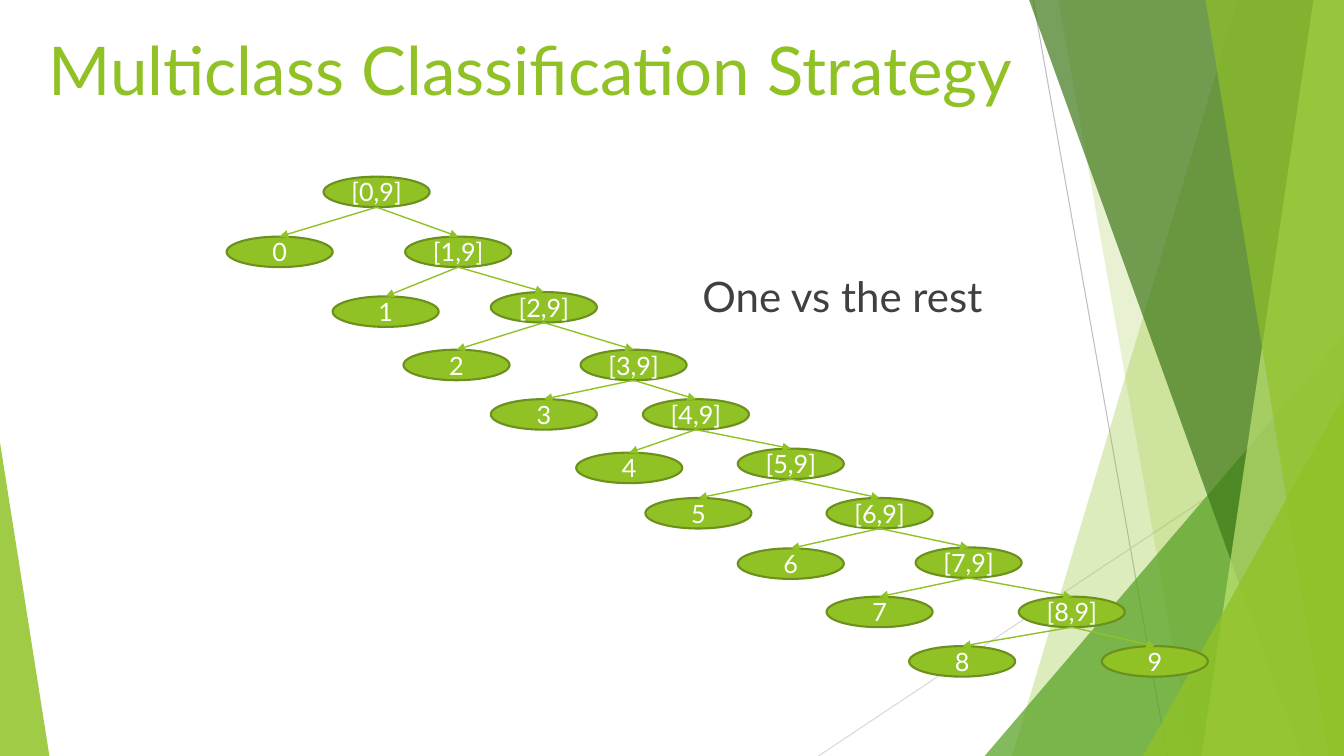
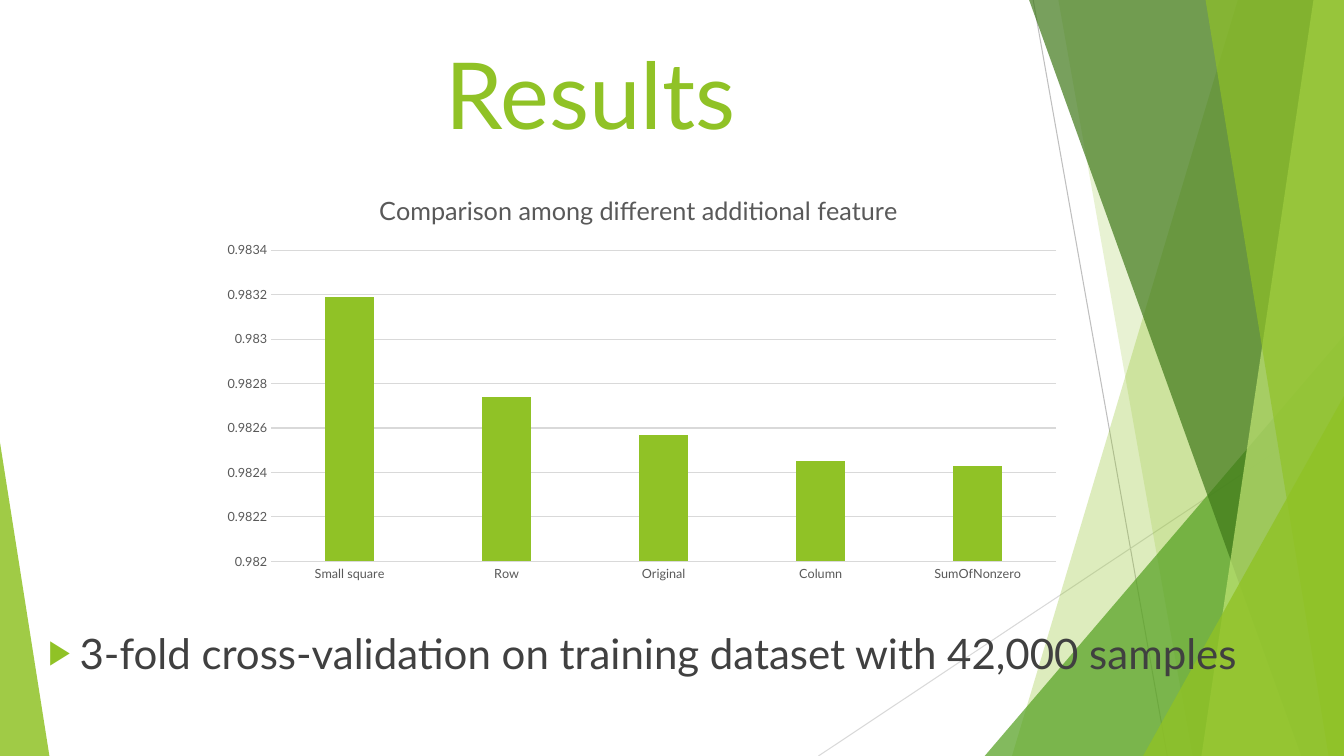
from lxml import etree
from pptx import Presentation
from pptx.chart.data import CategoryChartData
from pptx.dml.color import RGBColor
from pptx.enum import chart as charts, shapes, text
from pptx.oxml.ns import qn
from pptx.util import Pt

WIDTH, HEIGHT = 960, 540
FONT = "Lato"
GREEN, DARK_GREEN, BODY_GREY, LABEL_GREY, GRID = "90C226", "6B901C", "404040", "595959", "D9D9D9"

BACK_LINES = [("BFBFBF", (738, 0), (833.8, 540)), (GRID, (960, 290.2), (584.6, 540))]
BACK_PANELS = [
    ("band", GREEN, 30, 884.2, 722.9),
    ("band", GREEN, 20, 756, 851.8),
    ("triangle", "54A021", 72, 703.4, 239.8, 256.6, 1),
    ("band", "3F7819", 70, 735.1, 929.5),
    ("band", "C0E474", 70, 938.2, 858.2),
    ("band", GREEN, 65, 861.1, 949),
    ("triangle", GREEN, 80, 816.5, 283, 143.5, 1),
    ("triangle", GREEN, 85, 0, 316.1, 35.3, 0),
]

STRATEGY = {"title": "Multiclass Classification Strategy", "body": "One vs the rest"}
RESULTS = {
    "title": "Results",
    "body": "3-fold cross-validation on training dataset with 42,000 samples",
    "chart": "Comparison among different additional feature",
}
ACCURACY = [
    ("Small square", 0.98319),
    ("Row", 0.98274),
    ("Original", 0.98257),
    ("Column", 0.98245),
    ("SumOfNonzero", 0.98243),
]
NODE_WIDTH, NODE_HEIGHT = 75.8, 21.8
RANGE_NODES = [
    (231.1, 126.2), (289.4, 169), (350.6, 208.6), (414.7, 249.8), (459.2, 285.1),
    (527, 320.4), (590.4, 355.7), (654, 391), (727.7, 426.2),
]
DIGIT_NODES = [
    (161.9, 169), (237.6, 211.7), (288.2, 249.8), (350.6, 285.1), (411.6, 323.3),
    (461, 355.7), (527, 391.7), (590.4, 426.2), (649.4, 461.5), (787, 461.5),
]


def rgb(value):
    return RGBColor.from_string(value)


def set_font(font, size, color):
    font.name, font.size = FONT, Pt(size)
    font.color.rgb = rgb(color)


def add_run(paragraph, content, size, color):
    run = paragraph.add_run()
    run.text = content
    set_font(run.font, size, color)


def paint(shape, color, alpha=100):
    shape.shadow.inherit = False
    shape.fill.solid()
    shape.fill.fore_color.rgb = rgb(color)
    if alpha < 100:
        node = shape.element.find(".//" + qn("a:srgbClr"))
        etree.SubElement(node, qn("a:alpha"), val=str(alpha * 1000))
    shape.line.fill.background()


def add_line(slide, start, end, color, width, arrow=False):
    connector = slide.shapes.add_connector(
        shapes.MSO_CONNECTOR.STRAIGHT, *[Pt(value) for value in (*start, *end)])
    connector.line.color.rgb = rgb(color)
    connector.line.width = Pt(width)
    if arrow:
        line = connector.element.spPr.find(qn("a:ln"))
        etree.SubElement(line, qn("a:tailEnd"), type="triangle")
    etree.SubElement(connector.element.spPr, qn("a:effectLst"))
    return connector


def add_panel(slide, kind, color, alpha, *place):
    if kind == "band":
        top_x, bottom_x = place
        builder = slide.shapes.build_freeform(Pt(top_x), 0)
        corners = [(WIDTH, 0), (WIDTH, HEIGHT), (bottom_x, HEIGHT)]
        builder.add_line_segments([(Pt(x), Pt(y)) for x, y in corners], close=True)
        shape = builder.convert_to_shape()
    else:
        left, top, width, apex = place
        shape = slide.shapes.add_shape(
            shapes.MSO_SHAPE.ISOSCELES_TRIANGLE, Pt(left), Pt(top), Pt(width), Pt(HEIGHT - top))
        shape.adjustments[0] = apex
    paint(shape, color, alpha)
    return shape


def build_backdrop(master, slide):
    parts = [add_line(slide, start, end, color, 0.75) for color, start, end in BACK_LINES]
    parts += [add_panel(slide, *panel) for panel in BACK_PANELS]
    for index, part in enumerate(parts):
        part.element.find(".//" + qn("p:cNvPr")).set("id", str(100 + index))
        master.shapes.element.insert(2 + index, part.element)


def fill_placeholder(shape, box, content, size, color):
    shape.left, shape.top, shape.width, shape.height = [Pt(value) for value in box]
    frame = shape.text_frame
    frame.word_wrap = False
    frame.auto_size = text.MSO_AUTO_SIZE.SHAPE_TO_FIT_TEXT
    frame.vertical_anchor = text.MSO_ANCHOR.TOP
    paragraph = frame.paragraphs[0]
    paragraph.alignment = text.PP_ALIGN.LEFT
    paragraph.space_before = Pt(0)
    add_run(paragraph, content, size, color)
    return paragraph


def set_bullet(paragraph, margin=0, hanging=0, symbol=None):
    properties = paragraph._p.get_or_add_pPr()
    properties.set("marL", str(Pt(margin)))
    properties.set("indent", str(-Pt(hanging)))
    if symbol is None:
        etree.SubElement(properties, qn("a:buNone"))
        return
    color = etree.SubElement(properties, qn("a:buClr"))
    etree.SubElement(color, qn("a:srgbClr"), val=GREEN)
    etree.SubElement(properties, qn("a:buSzPct"), val="80000")
    etree.SubElement(properties, qn("a:buChar"), char=symbol)


def add_node(slide, label, place):
    left, top = place
    shape = slide.shapes.add_shape(
        shapes.MSO_SHAPE.OVAL, Pt(left), Pt(top), Pt(NODE_WIDTH), Pt(NODE_HEIGHT))
    paint(shape, GREEN)
    shape.line.color.rgb = rgb(DARK_GREEN)
    shape.line.width = Pt(1.5)
    frame = shape.text_frame
    frame.margin_left = frame.margin_right = frame.margin_top = frame.margin_bottom = 0
    frame.vertical_anchor = text.MSO_ANCHOR.MIDDLE
    frame.paragraphs[0].alignment = text.PP_ALIGN.CENTER
    add_run(frame.paragraphs[0], label, 18, "FFFFFF")
    return shape


def build_strategy(slide):
    fill_placeholder(slide.shapes.title, (27.4, 16.6, 724, 65), STRATEGY["title"], 48, GREEN)
    body = fill_placeholder(
        slide.placeholders[1], (494.6, 189.4, 220.3, 43.9), STRATEGY["body"], 30, BODY_GREY)
    set_bullet(body)

    ranges = [add_node(slide, f"[{i},9]", place) for i, place in enumerate(RANGE_NODES)]
    digits = [add_node(slide, str(i), place) for i, place in enumerate(DIGIT_NODES)]
    followers = ranges[1:] + digits[-1:]
    for place, digit, follower in zip(RANGE_NODES, digits, followers):
        start = (place[0] + NODE_WIDTH / 2, place[1] + NODE_HEIGHT)
        for child in (digit, follower):
            end = (child.left.pt + NODE_WIDTH / 2, child.top.pt)
            add_line(slide, start, end, GREEN, 1, arrow=True).end_connect(child, 0)


def set_layout(parent, index, **fractions):
    old = parent.find(qn("c:layout"))
    if old is not None:
        parent.remove(old)
    layout = etree.Element(qn("c:layout"))
    parent.insert(index, layout)
    manual = etree.SubElement(layout, qn("c:manualLayout"))
    if "w" in fractions:
        etree.SubElement(manual, qn("c:layoutTarget"), val="inner")
    for axis in "xy":
        etree.SubElement(manual, qn(f"c:{axis}Mode"), val="edge")
    for name, fraction in fractions.items():
        etree.SubElement(manual, qn(f"c:{name}"), val=str(fraction))


def build_chart(slide):
    data = CategoryChartData(number_format="General")
    data.categories = [name for name, _ in ACCURACY]
    data.add_series("Series 1", [value for _, value in ACCURACY])
    chart = slide.shapes.add_chart(
        charts.XL_CHART_TYPE.COLUMN_CLUSTERED, Pt(150.5), Pt(125.3), Pt(616.3), Pt(296.6), data).chart
    set_font(chart.font, 10, "000000")
    chart.has_legend = False
    chart.has_title = True
    add_run(chart.chart_title.text_frame.paragraphs[0], RESULTS["chart"], 18, LABEL_GREY)
    chart.chart_title.text_frame.paragraphs[0].runs[0].font.bold = False

    plot = chart.plots[0]
    plot.vary_by_categories = False
    plot.gap_width, plot.overlap = 219, -27
    plot.series[0].format.fill.solid()
    plot.series[0].format.fill.fore_color.rgb = rgb(GREEN)

    for axis in (chart.category_axis, chart.value_axis):
        axis.major_tick_mark = axis.minor_tick_mark = charts.XL_TICK_MARK.NONE
        set_font(axis.tick_labels.font, 9, LABEL_GREY)
    values = chart.value_axis
    values.minimum_scale, values.maximum_scale, values.major_unit = 0.982, 0.9834, 0.0002
    values.format.line.fill.background()
    for line in (chart.category_axis.format.line, values.major_gridlines.format.line):
        line.color.rgb = rgb(GRID)
        line.width = Pt(0.75)

    set_layout(chart.element.find(".//" + qn("c:title")), 1, x=0.19, y=0.03)
    set_layout(chart.element.find(".//" + qn("c:plotArea")), 0, x=0.07, y=0.18, w=0.91, h=0.75)


def build_results(slide):
    fill_placeholder(slide.shapes.title, (311, 23, 223.2, 87.1), RESULTS["title"], 66, GREEN)
    body = fill_placeholder(
        slide.placeholders[1], (-8.6, 451.4, 928.1, 36), RESULTS["body"], 30, BODY_GREY)
    body.line_spacing = 0.8
    body.space_before = Pt(10)
    set_bullet(body, 58.3, 22.3, "▶")
    build_chart(slide)


def main():
    presentation = Presentation()
    presentation.slide_width, presentation.slide_height = Pt(WIDTH), Pt(HEIGHT)
    layout = presentation.slide_layouts[1]
    strategy, results = [presentation.slides.add_slide(layout) for _ in range(2)]
    build_backdrop(presentation.slide_master, strategy)
    build_strategy(strategy)
    build_results(results)
    presentation.save("out.pptx")


if __name__ == "__main__":
    main()
